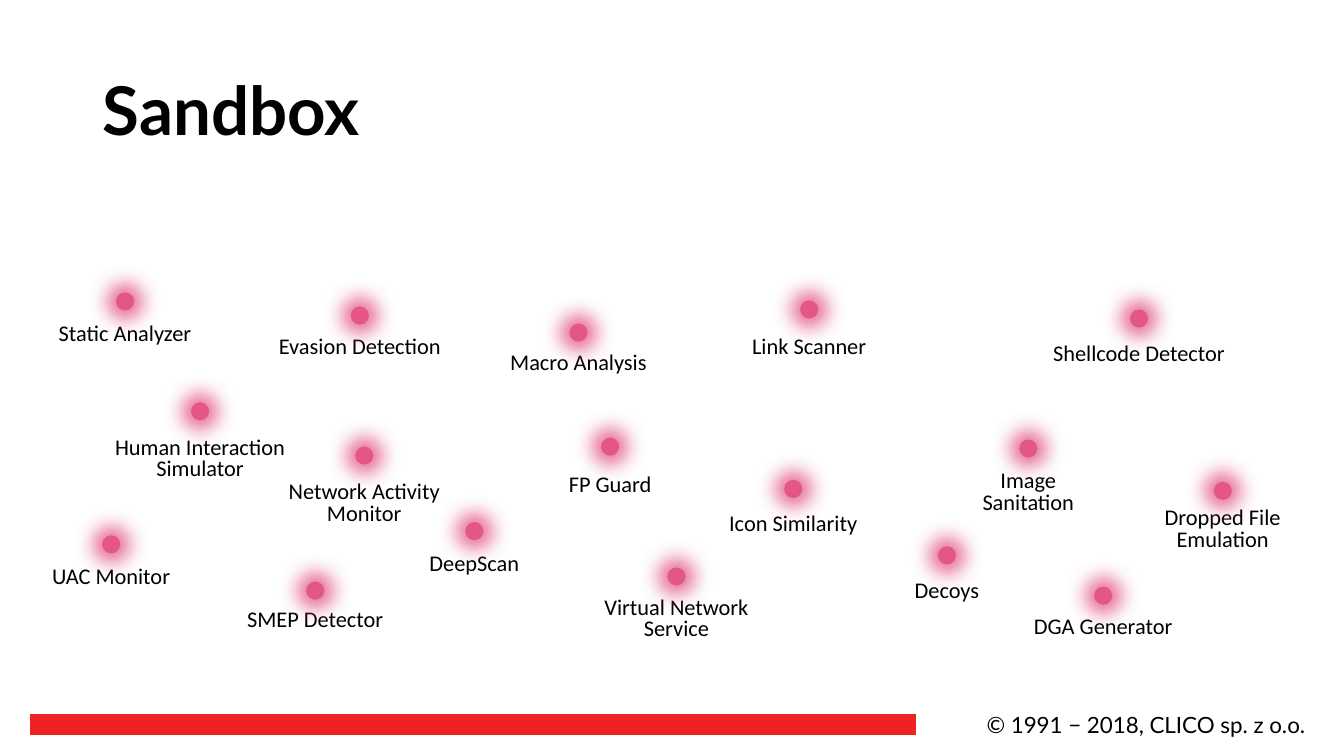
import pptx
import pptx.dml.color
import pptx.enum.shapes
import pptx.enum.text
import pptx.oxml
import pptx.oxml.ns
import pptx.util
from lxml import etree

Pt = pptx.util.Pt
RGBColor = pptx.dml.color.RGBColor
MSO_SHAPE = pptx.enum.shapes.MSO_SHAPE
MSO_ANCHOR = pptx.enum.text.MSO_ANCHOR
MSO_AUTO_SIZE = pptx.enum.text.MSO_AUTO_SIZE
PP_ALIGN = pptx.enum.text.PP_ALIGN

BLACK = RGBColor(0x00, 0x00, 0x00)
RED = RGBColor(0xED, 0x22, 0x23)
PINK = RGBColor(0xE4, 0x57, 0x85)

DOT_SIZE = 13
WIDE = 180.7
ONE_LINE, TWO_LINES = 32.4, 54.7

# Text, centre x, dot centre y, label top, label width, label height
FEATURES = [
    ("Human Interaction Simulator", 142.9, 293.8, 301, WIDE, TWO_LINES),
    ("Dropped File Emulation", 873.4, 350.6, 351.4, 139.7, TWO_LINES),
    ("DGA Generator", 788, 425.5, 432.7, 131, ONE_LINE),
    ("Decoys", 676.4, 396.7, 406.8, 95, ONE_LINE),
    ("Image Sanitation", 734.5, 320.4, 324.7, 128.9, TWO_LINES),
    ("Icon Similarity", 566.6, 349.2, 358.6, WIDE, ONE_LINE),
    ("Virtual Network Service", 483.2, 411.8, 415.4, WIDE, TWO_LINES),
    ("SMEP Detector", 225.2, 421.9, 427.7, WIDE, ONE_LINE),
    ("DeepScan", 338.8, 379.4, 387.4, WIDE, ONE_LINE),
    ("UAC Monitor", 79.4, 388.8, 396.7, 134.6, ONE_LINE),
    ("FP Guard", 435.8, 319, 331.2, WIDE, ONE_LINE),
    ("Network Activity Monitor", 260.2, 325.4, 332.6, WIDE, TWO_LINES),
    ("Shellcode Detector", 813.6, 227.5, 237.6, 146.9, ONE_LINE),
    ("Link Scanner", 578, 221, 232.6, WIDE, ONE_LINE),
    ("Macro Analysis", 413.2, 237.6, 244.1, WIDE, ONE_LINE),
    ("Evasion Detection", 257, 225.4, 232.6, WIDE, ONE_LINE),
    ("Static Analyzer", 89.3, 215.3, 223.2, WIDE, ONE_LINE),
]


def format_font(paragraph, name, size, bold=False):
    font = paragraph.font
    font.name, font.size, font.bold = name, Pt(size), bold
    font.color.rgb = BLACK


def add_effects(shape):
    """Append an empty effect list, which also switches off the theme shadow."""
    properties = shape._element.spPr
    return etree.SubElement(properties, pptx.oxml.ns.qn("a:effectLst"))


def add_glow(shape):
    """Give the shape a soft pink halo."""
    effects = add_effects(shape)
    effects.append(pptx.oxml.parse_xml(
        f'<a:outerShdw {pptx.oxml.ns.nsdecls("a")} blurRad="{Pt(14)}" dist="0" '
        f'dir="5400000" sx="200000" sy="200000" algn="ctr" rotWithShape="0">'
        f'<a:srgbClr val="{PINK}"><a:alpha val="86000"/></a:srgbClr></a:outerShdw>'))


def add_title(slide, left, top, width, height):
    title = slide.shapes.title
    title.left, title.top = Pt(left), Pt(top)
    title.width, title.height = Pt(width), Pt(height)
    frame = title.text_frame
    frame.text = "Sandbox"
    frame.vertical_anchor = MSO_ANCHOR.MIDDLE
    paragraph = frame.paragraphs[0]
    paragraph.alignment = PP_ALIGN.LEFT
    paragraph.line_spacing = 0.9
    format_font(paragraph, "Lato", 48, bold=True)


def add_footer(slide, left, top, width, height):
    copyright_width = 324
    middle = top + height / 2
    bar = slide.shapes.add_connector(
        pptx.enum.shapes.MSO_CONNECTOR.STRAIGHT,
        Pt(left), Pt(middle), Pt(left + 632.9), Pt(middle))
    bar.line.color.rgb = RED
    bar.line.width = Pt(15)
    add_effects(bar)

    notice = slide.shapes.add_textbox(
        Pt(left + width - copyright_width), Pt(top), Pt(copyright_width), Pt(height))
    frame = notice.text_frame
    frame.word_wrap = True
    frame.auto_size = MSO_AUTO_SIZE.SHAPE_TO_FIT_TEXT
    paragraph = frame.paragraphs[0]
    paragraph.text = "© 1991 − 2018, CLICO sp. z o.o."
    paragraph.alignment = PP_ALIGN.RIGHT
    format_font(paragraph, "Lato", 16)


def add_feature(slide, text, center, dot_middle, top, width, height):
    """Group a label with the glowing dot centred above it."""
    group = slide.shapes.add_group_shape()
    label = group.shapes.add_shape(
        MSO_SHAPE.ROUNDED_RECTANGLE,
        Pt(center - width / 2), Pt(top), Pt(width), Pt(height))
    label.adjustments[0] = 0.5
    label.shadow.inherit = False
    label.fill.background()
    label.line.fill.background()
    frame = label.text_frame
    frame.word_wrap = True
    frame.auto_size = MSO_AUTO_SIZE.SHAPE_TO_FIT_TEXT
    frame.vertical_anchor = MSO_ANCHOR.MIDDLE
    paragraph = frame.paragraphs[0]
    paragraph.text = text
    paragraph.alignment = PP_ALIGN.CENTER
    paragraph.line_spacing = 0.8
    format_font(paragraph, "Calibri", 16)

    dot = group.shapes.add_shape(
        MSO_SHAPE.OVAL, Pt(center - DOT_SIZE / 2), Pt(dot_middle - DOT_SIZE / 2),
        Pt(DOT_SIZE), Pt(DOT_SIZE))
    dot.fill.solid()
    dot.fill.fore_color.rgb = PINK
    dot.line.fill.background()
    add_glow(dot)


def main():
    presentation = pptx.Presentation()
    presentation.slide_width, presentation.slide_height = Pt(960), Pt(540)
    slide = presentation.slides.add_slide(presentation.slide_layouts[5])
    add_title(slide, 66.2, 28.8, 828, 104.4)
    add_footer(slide, 21.6, 504.5, 918, 26.6)
    for feature in FEATURES:
        add_feature(slide, *feature)
    presentation.save("out.pptx")


if __name__ == "__main__":
    main()
